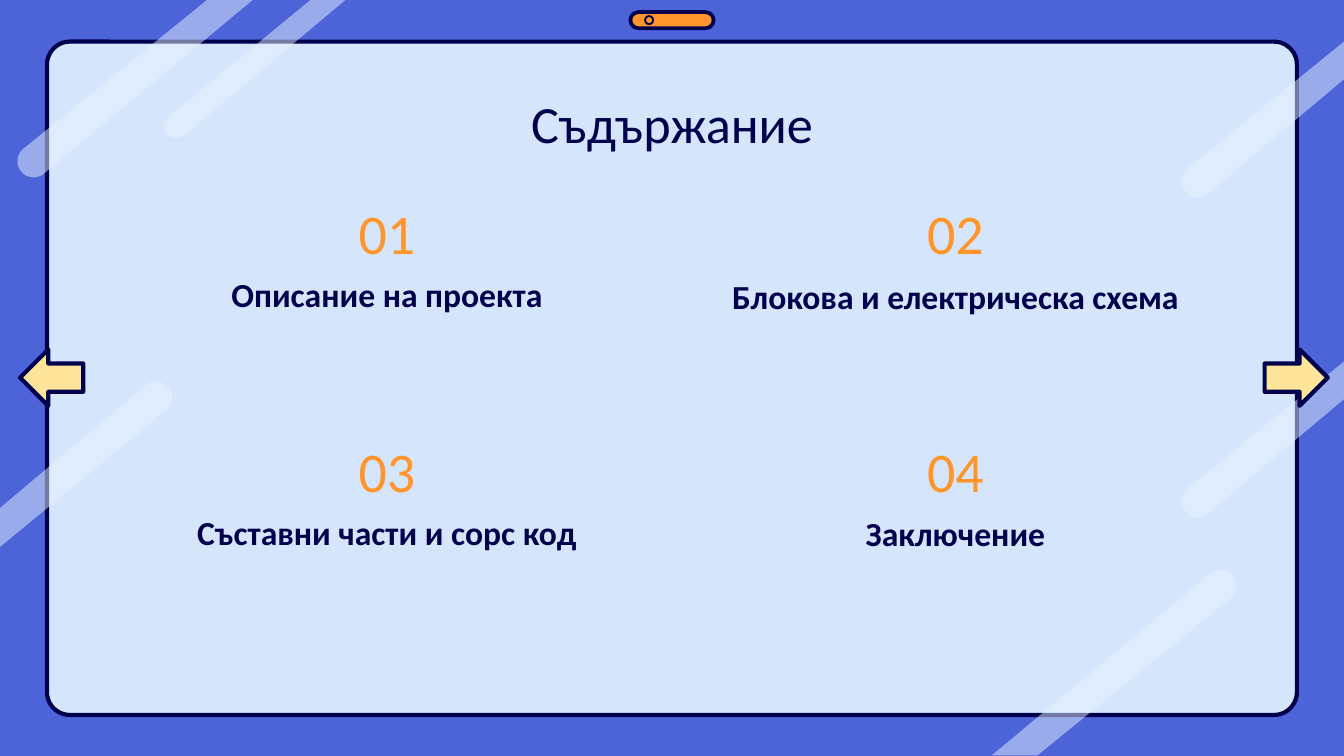
from dataclasses import dataclass
from math import cos, radians, sin
from typing import Optional

from lxml.etree import SubElement
from pptx import Presentation
from pptx.dml.color import RGBColor
from pptx.enum.shapes import MSO_SHAPE
from pptx.enum.text import MSO_ANCHOR, MSO_AUTO_SIZE, PP_ALIGN
from pptx.oxml.ns import qn
from pptx.util import Inches, Pt

BLUE = RGBColor(0x4C, 0x64, 0xD8)
PALE = RGBColor(0xD5, 0xE6, 0xFC)
GLARE = RGBColor(0xE9, 0xF3, 0xFF)
NAVY = RGBColor(0x00, 0x00, 0x4D)
ORANGE = RGBColor(0xFF, 0x95, 0x2B)
YELLOW = RGBColor(0xFF, 0xE5, 0x99)

UP_RIGHT = -40
DOWN_LEFT = 140
ARC_STEP = 10


@dataclass(frozen=True)
class Stripe:
    center: tuple[float, float]
    radius: float
    heading: int
    ends: tuple[tuple[float, float], tuple[float, float]]


@dataclass(frozen=True)
class Figure:
    preset: MSO_SHAPE
    area: tuple[float, float, float, float]
    fill: RGBColor
    line_width: float
    rounding: Optional[float] = None


@dataclass(frozen=True)
class Entry:
    number: str
    caption: str
    column: int
    row: int


PANEL = Figure(MSO_SHAPE.ROUNDED_RECTANGLE, (0.35, 0.31, 9.3, 5.01), PALE, 2.25, 0.034)
STRIPES = [
    Stripe((0.25, 1.2), 0.12, UP_RIGHT, ((1.54, 0), (1.88, 0))),
    Stripe((1.31, 0.94), 0.09, UP_RIGHT, ((2.31, 0), (2.57, 0))),
    Stripe((9.08, 4.36), 0.12, DOWN_LEFT, ((7.72, 5.62), (7.38, 5.62))),
    Stripe((8.91, 3.73), 0.12, UP_RIGHT, ((10, 2.69), (10, 2.97))),
    Stripe((8.91, 1.35), 0.12, UP_RIGHT, ((10, 0.31), (10, 0.59))),
    Stripe((1.16, 2.96), 0.12, DOWN_LEFT, ((0, 4.07), (0, 3.78))),
]
FIGURES = [
    Figure(MSO_SHAPE.ROUNDED_RECTANGLE, (4.69, 0.09, 0.62, 0.12), ORANGE, 2, 0.5),
    Figure(MSO_SHAPE.OVAL, (4.8, 0.12, 0.06, 0.06), ORANGE, 1),
    Figure(MSO_SHAPE.LEFT_ARROW, (0.15, 2.6, 0.47, 0.42), YELLOW, 2.25),
    Figure(MSO_SHAPE.RIGHT_ARROW, (9.41, 2.6, 0.47, 0.42), YELLOW, 2.25),
]
ENTRIES = [
    Entry("01", "Описание на проекта", 0, 0),
    Entry("02", "Блокова и електрическа схема", 1, 0),
    Entry("03", "Съставни части и сорс код", 0, 1),
    Entry("04", "Заключение", 1, 1),
]
COLUMN_STEP = 4.23
ROW_STEP = 1.77

TITLE_FONT = {"name": "Calibri", "size": Pt(28), "bold": False}
NUMBER_FONT = {"name": "Calibri", "size": Pt(30), "bold": False}
CAPTION_FONT = {"name": "Calibri", "size": Pt(18), "bold": True}
FRAME_FORMAT = {
    "word_wrap": True,
    "auto_size": MSO_AUTO_SIZE.NONE,
    "margin_left": Inches(0.1),
    "margin_top": Inches(0.1),
    "margin_right": Inches(0.1),
    "margin_bottom": Inches(0.1),
}
PARA_FORMAT = {"alignment": PP_ALIGN.CENTER, "space_before": Pt(0), "line_spacing": 1.0}


def set_values(target, values: dict) -> None:
    for name, value in values.items():
        setattr(target, name, value)


def place(box, area: tuple[float, float, float, float]) -> None:
    set_values(box, dict(zip(("left", "top", "width", "height"), map(Inches, area))))


def draw_figure(page, figure: Figure) -> None:
    shape = page.shapes.add_shape(figure.preset, *map(Inches, figure.area))
    shape.shadow.inherit = False
    if figure.rounding is not None:
        shape.adjustments[0] = figure.rounding
    shape.fill.solid()
    shape.fill.fore_color.rgb = figure.fill
    shape.line.color.rgb = NAVY
    shape.line.width = Pt(figure.line_width)


def draw_stripe(page, stripe: Stripe) -> None:
    center_x, center_y = stripe.center
    angles = range(stripe.heading + 90, stripe.heading + 271, ARC_STEP)
    cap = [
        (center_x + stripe.radius * cos(radians(angle)),
         center_y + stripe.radius * sin(radians(angle)))
        for angle in angles
    ]
    outline = [(Inches(x), Inches(y)) for x, y in (*cap, *stripe.ends)]
    builder = page.shapes.build_freeform(*outline[0])
    builder.add_line_segments(outline[1:], close=True)
    shape = builder.convert_to_shape()
    shape.shadow.inherit = False
    shape.line.fill.background()
    shape.fill.solid()
    shape.fill.fore_color.rgb = GLARE
    color = shape.element.spPr.find(f"{qn('a:solidFill')}/{qn('a:srgbClr')}")
    SubElement(color, qn("a:alpha"), val="50000")


def write_text(box, text: str, font: dict, color: RGBColor, anchor: MSO_ANCHOR) -> None:
    frame = box.text_frame
    set_values(frame, {**FRAME_FORMAT, "vertical_anchor": anchor})
    para = frame.paragraphs[0]
    set_values(para, PARA_FORMAT)
    properties = para._p.get_or_add_pPr()
    properties.set("marL", "0")
    properties.set("indent", "0")
    SubElement(properties, qn("a:buNone"))
    span = para.add_run()
    span.text = text
    set_values(span.font, font)
    span.font.color.rgb = color


def draw_entry(page, entry: Entry, caption_box) -> None:
    shift_x = entry.column * COLUMN_STEP
    shift_y = entry.row * ROW_STEP
    number_box = page.shapes.add_textbox(
        *map(Inches, (2.48 + shift_x, 1.52 + shift_y, 0.8, 0.42)))
    write_text(number_box, entry.number, NUMBER_FONT, ORANGE, MSO_ANCHOR.MIDDLE)
    place(caption_box, (1.1 + shift_x, 1.98 + entry.column * 0.01 + shift_y, 3.56, 0.42))
    write_text(caption_box, entry.caption, CAPTION_FONT, NAVY, MSO_ANCHOR.MIDDLE)


def main() -> None:
    deck = Presentation()
    deck.slide_width = Inches(10)
    deck.slide_height = Inches(10) * 9 // 16
    page = deck.slides.add_slide(deck.slide_layouts.get_by_name("Comparison"))
    page.background.fill.solid()
    page.background.fill.fore_color.rgb = BLUE

    title, *captions = list(page.placeholders)
    draw_figure(page, PANEL)
    for stripe in STRIPES:
        draw_stripe(page, stripe)
    for figure in FIGURES:
        draw_figure(page, figure)
    for placeholder in (title, *captions):
        placeholder.element.getparent().append(placeholder.element)

    place(title, (0.79, 0.58, 8.42, 0.63))
    write_text(title, "Съдържание", TITLE_FONT, NAVY, MSO_ANCHOR.TOP)
    for entry, caption_box in zip(ENTRIES, captions):
        draw_entry(page, entry, caption_box)
    deck.save("out.pptx")


if __name__ == "__main__":
    main()
